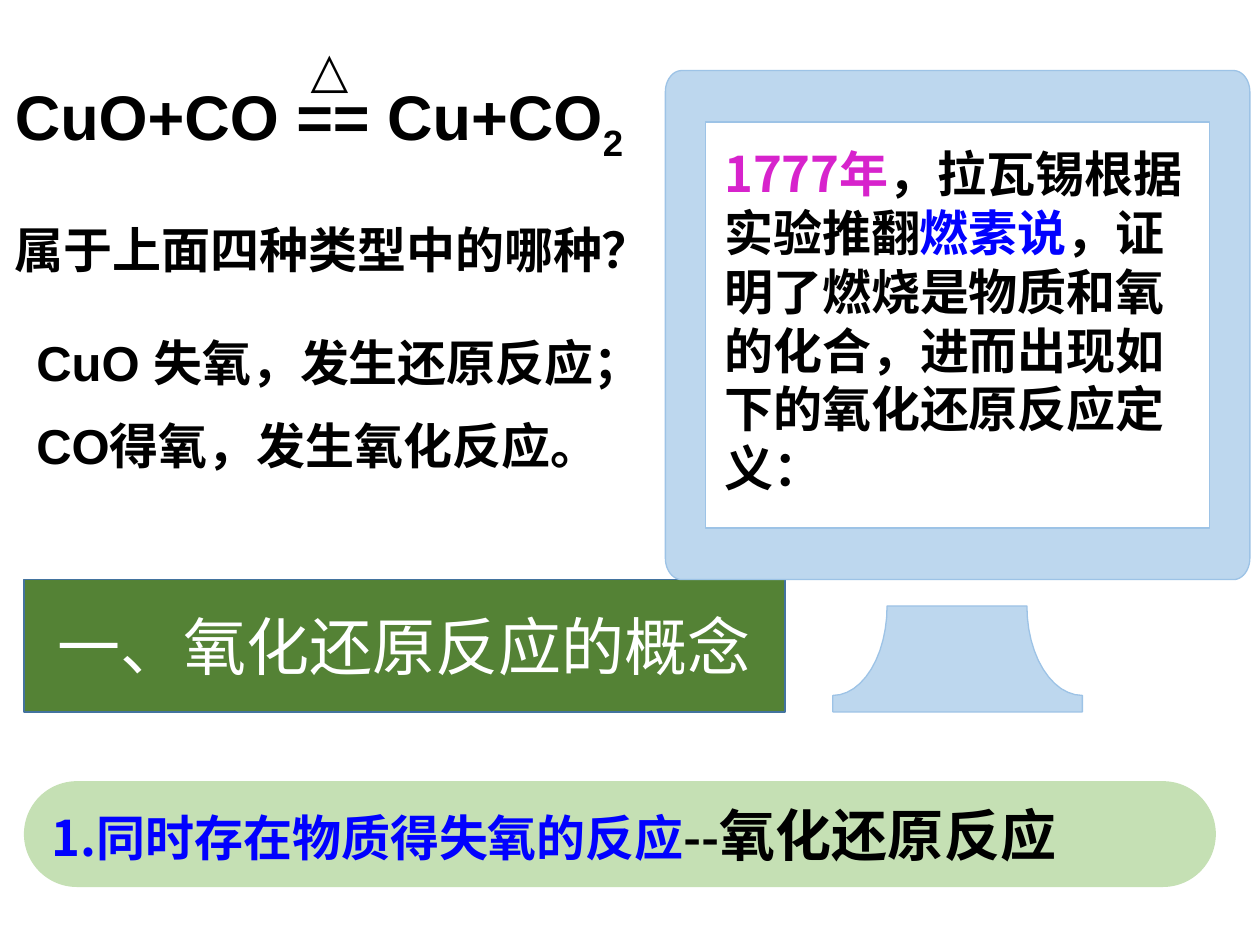
from math import cos, radians, sin

from lxml import etree
from pptx import Presentation
from pptx import util as u
from pptx.dml.color import RGBColor
from pptx.enum import lang, shapes, text
from pptx.oxml import ns

CHINESE_FONT = "Noto Sans CJK SC"
BLACK, BLUE, MAGENTA, WHITE = "000000", "0101FF", "D723CC", "FFFFFF"


def color(hex_value):
    """Return the colour for a hex string."""
    return RGBColor.from_string(hex_value)


def paint(shape, fill, line=None, width=1):
    """Give a shape a flat fill and an optional outline."""
    shape.fill.solid()
    shape.fill.fore_color.rgb = color(fill)
    if line:
        shape.line.color.rgb = color(line)
        shape.line.width = u.Pt(width)
    else:
        shape.line.fill.background()


def place(shape, left, top, width, height):
    """Move and size a shape in points."""
    shape.left, shape.top = u.Pt(left), u.Pt(top)
    shape.width, shape.height = u.Pt(width), u.Pt(height)


def add_run(paragraph, words, size=28, hex_value=BLACK, font="Arial", bold=True):
    """Add a formatted run to a paragraph."""
    run = paragraph.add_run()
    run.text = words
    run.font.size = u.Pt(size)
    run.font.bold = bold
    run.font.color.rgb = color(hex_value)
    run.font.name = font
    run.font.language_id = lang.MSO_LANGUAGE_ID.SIMPLIFIED_CHINESE
    properties = run.font._element
    etree.SubElement(properties, ns.qn("a:ea"), typeface=CHINESE_FONT)
    return run


def add_text(slide, left, top, width, height):
    """Add a wrapping text box and return its text frame."""
    box = slide.shapes.add_textbox(*map(u.Pt, (left, top, width, height)))
    box.text_frame.word_wrap = True
    return box.text_frame


def add_text_shadow(run):
    """Add a soft grey shadow behind a run."""
    fill = run.font._element.find(ns.qn("a:solidFill"))
    effects = etree.Element(ns.qn("a:effectLst"))
    shadow = etree.SubElement(effects, ns.qn("a:outerShdw"),
                              blurRad="38100", dist="38100", dir="2700000")
    etree.SubElement(shadow, ns.qn("a:srgbClr"), val="C0C0C0")
    fill.addnext(effects)


def arc(center_x, center_y, radius_x, radius_y, start, end, steps=12):
    """Return points along an elliptical arc, angles in degrees."""
    angles = [radians(start + (end - start) * i / steps) for i in range(steps + 1)]
    return [(center_x + radius_x * cos(a), center_y + radius_y * sin(a)) for a in angles]


def add_monitor(slide):
    """Draw the monitor frame, its open screen and its stand."""
    left, top, right, bottom = 380.2, 40.3, 714.2, 331.2
    radius_x, radius_y = 9.4, 12.2
    near_x, far_x = left + radius_x, right - radius_x
    near_y, far_y = top + radius_y, bottom - radius_y
    frame = []
    corners = [(near_x, near_y), (far_x, near_y), (far_x, far_y), (near_x, far_y)]
    for index, (x, y) in enumerate(corners):
        start = 180 + 90 * index
        frame += arc(x, y, radius_x, radius_y, start, start + 90)
    screen = [(403.2, 69.8), (403.2, 301.7), (691.2, 301.7), (691.2, 69.8)]
    stand = (arc(618.5, 346.3, 31.7, 51.1, 180, 90) + [(618.5, 406.8), (475.9, 406.8)]
             + arc(475.9, 346.3, 31, 51.1, 90, 0))
    builder = slide.shapes.build_freeform(u.Pt(frame[0][0]), u.Pt(frame[0][1]))
    for index, outline in enumerate((frame, screen, stand)):
        points = [(u.Pt(x), u.Pt(y)) for x, y in outline]
        if index:
            builder.move_to(*points[0])
        builder.add_line_segments(points[1:], close=True)
    monitor = builder.convert_to_shape()
    monitor.shadow.inherit = False
    paint(monitor, "BDD7EE", "9DC3E6", 0.75)


def add_title(slide):
    """Turn the title placeholder into the green section arrow."""
    title = slide.shapes.title
    place(title, 13.7, 331.2, 434.9, 75.6)
    geometry = etree.Element(ns.qn("a:prstGeom"), prst="homePlate")
    etree.SubElement(geometry, ns.qn("a:avLst"))
    title._element.spPr.find(ns.qn("a:xfrm")).addnext(geometry)
    paint(title, "548235", "43739E")
    frame = title.text_frame
    frame.auto_size = text.MSO_AUTO_SIZE.NONE
    frame.vertical_anchor = text.MSO_ANCHOR.MIDDLE
    paragraph = frame.paragraphs[0]
    paragraph.alignment = text.PP_ALIGN.CENTER
    add_run(paragraph, "一、氧化还原反应的概念", 36, WHITE, CHINESE_FONT, False)


def add_equation(slide):
    """Write the reaction equation with its heating sign."""
    equation = add_text(slide, 1.4, 41, 393.8, 50.4).paragraphs[0]
    add_run(equation, "CuO+CO == Cu+CO", 36)
    subscript = add_run(equation, "2", 36)
    subscript.font._element.set("baseline", "-25000")
    heating = add_text(slide, 149.8, 18.7, 77, 41).paragraphs[0]
    heating.alignment = text.PP_ALIGN.CENTER
    add_text_shadow(add_run(heating, "△"))


def add_question(slide):
    """Write the question and the two answers."""
    question = add_text(slide, 1.4, 121.7, 383, 41).paragraphs[0]
    add_run(question, "属于上面四种类型中的哪种？", font=CHINESE_FONT)
    answers = add_text(slide, 13.7, 186.5, 358.6, 91.4)
    add_run(answers.paragraphs[0], "CuO 失氧，发生还原反应；")
    second = answers.add_paragraph()
    second.space_before = u.Pt(14)
    add_run(second, "CO得氧，发生氧化反应。")


def add_history(slide):
    """Write the history note on the monitor screen."""
    paragraph = add_text(slide, 406.8, 78.5, 288.7, 208.8).paragraphs[0]
    for words, hex_value in (
        ("1777年", MAGENTA),
        ("，拉瓦锡根据实验推翻", BLACK),
        ("燃素说", BLUE),
        ("，证明了燃烧是物质和氧的化合，进而出现如下的氧化还原反应定义：", BLACK),
    ):
        add_run(paragraph, words, hex_value=hex_value, font=CHINESE_FONT)


def add_definition(slide):
    """Add the rounded bar with the definition."""
    bar = slide.shapes.add_shape(shapes.MSO_SHAPE.ROUNDED_RECTANGLE,
                                 *map(u.Pt, (13.7, 446.4, 681.1, 60.5)))
    bar.adjustments[0] = 0.5
    bar.shadow.inherit = False
    paint(bar, "C5E0B4")
    bar.text_frame.vertical_anchor = text.MSO_ANCHOR.MIDDLE
    paragraph = bar.text_frame.paragraphs[0]
    paragraph.alignment = text.PP_ALIGN.LEFT
    add_run(paragraph, "1.同时存在物质得失氧的反应", hex_value=BLUE, font=CHINESE_FONT)
    add_run(paragraph, "--", font=CHINESE_FONT)
    add_run(paragraph, "氧化还原反应", 32)


def main():
    """Build the slide and save it."""
    presentation = Presentation()
    presentation.slide_width, presentation.slide_height = u.Pt(720), u.Pt(540)
    slide = presentation.slides.add_slide(presentation.slide_layouts[5])
    add_title(slide)
    add_question(slide)
    add_definition(slide)
    add_equation(slide)
    add_monitor(slide)
    add_history(slide)
    presentation.save("out.pptx")


if __name__ == "__main__":
    main()
